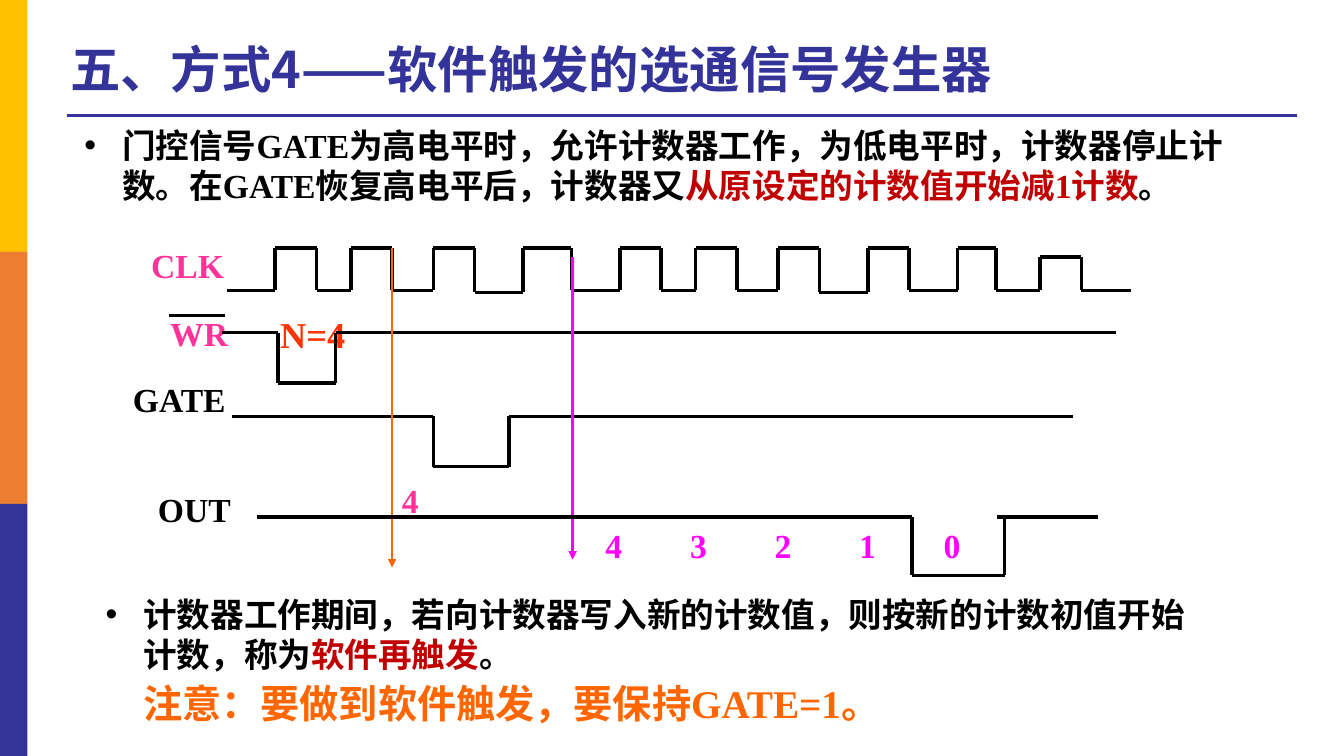
from lxml import etree
from pptx import Presentation
from pptx import util as u
from pptx.dml import color
from pptx.enum import shapes, text
from pptx.oxml import ns

SERIF, SANS = "Times New Roman", "Noto Sans CJK SC"
BLACK, RED, BLUE = "000000", "C00000", "333399"
PINK, MAGENTA, ORANGE = "FF3399", "FF00FF", "FF6600"

BANDS = ["FFC000", "ED7D31", BLUE]
BAND_WIDTH, BAND_HEIGHT = 0.69, 6.35

TITLE = [("五、方式4——软件触发的选通信号发生器", BLUE)]
GATE_RULE = [
    ("门控信号GATE为高电平时，允许计数器工作，为低电平时，计数器停止计数。在GATE恢复高电平后，计数器又", BLACK),
    ("从原设定的计数值开始减1计数", RED),
    ("。", BLACK),
]
RETRIGGER = [
    ("计数器工作期间，若向计数器写入新的计数值，则按新的计数初值开始计数，称为", BLACK),
    ("软件再触发", RED),
    ("。", BLACK),
]
CAUTION = [("注意：要做到软件触发，要保持GATE=1。", ORANGE)]

LABELS = [
    ("CLK", PINK, 24, (3.56, 6.05, 3.48, 1.3)),
    ("WR", PINK, 24, (4.04, 7.75, 2.29, 1.3)),
    ("N=4", "FF3300", 26, (6.81, 7.75, 2.79, 1.37)),
    ("GATE", BLACK, 24, (3.1, 9.42, 4.24, 1.3)),
    ("OUT", BLACK, 24, (3.73, 12.19, 4.45, 1.3)),
    ("4", PINK, 24, (9.88, 11.96, 5.51, 1.3)),
]
COUNTS = ["4", "3", "2", "1", "0"]
COUNT_STEP = 2.13

CLK_START, CLK_END, CLK_LOW, CLK_HIGH = 5.72, 28.5, 7.32, 6.25
CLK_PULSES = [
    (6.93, 7.98), (8.84, 9.88), (10.92, 11.96), (13.18, 14.4), (15.62, 16.66),
    (17.53, 18.57), (19.61, 20.65), (21.87, 22.91), (24.13, 25.1), (26.21, 27.25),
]
LAST_HIGH = 6.48
LOWERED_AFTER, LOWERED = (2, 6), 7.37

DIPS = [
    (5.59, 7.01, 8.46, 28.12, 8.38, 9.65),
    (5.84, 10.92, 12.83, 27.03, 10.49, 11.76),
]
OUT_WAVE = [(6.48, 13.03), (22.99, 13.03), (22.99, 14.5), (25.32, 14.5), (25.32, 13.03)]
OUT_TAIL = [(25.12, 13.03), (27.66, 13.03)]
WR_BAR = [(4.27, 7.95), (5.66, 7.95)]
MARKERS = [(9.88, 6.25, 14.3, ORANGE), (14.43, 6.48, 14.1, MAGENTA)]

presentation = Presentation()
presentation.slide_width, presentation.slide_height = u.Cm(33.87), u.Cm(19.05)
slide = presentation.slides.add_slide(presentation.slide_layouts[6])


def paint(target, value):
    target.rgb = color.RGBColor.from_string(value)


def add_line(start, end, value=BLACK, width=2.5, arrow=False):
    line = slide.shapes.add_connector(
        shapes.MSO_CONNECTOR.STRAIGHT, *[u.Cm(length) for length in (*start, *end)])
    paint(line.line.color, value)
    line.line.width = u.Pt(width)
    if arrow:
        etree.SubElement(line.line._get_or_add_ln(), ns.qn("a:tailEnd"), type="triangle")
    etree.SubElement(line._element.spPr, ns.qn("a:effectLst"))


def add_wave(points):
    for start, end in zip(points, points[1:]):
        add_line(start, end)


def add_box(place):
    frame = slide.shapes.add_textbox(*[u.Cm(length) for length in place]).text_frame
    frame.word_wrap = True
    return frame


def write(paragraph, pieces, size, font=SERIF):
    for words, value in pieces:
        run = paragraph.add_run()
        run.text = words
        run.font.size, run.font.bold, run.font.name = u.Pt(size), True, font
        paint(run.font.color, value)
        etree.SubElement(run._r.get_or_add_rPr(), ns.qn("a:ea"), typeface=SANS)


def indent(paragraph, bullet):
    properties = paragraph._p.get_or_add_pPr()
    properties.set("marL", str(u.Cm(0.95)))
    properties.set("indent", str(u.Cm(-0.95 if bullet else 0)))
    if bullet:
        etree.SubElement(properties, ns.qn("a:buFont"), typeface="Arial")
        etree.SubElement(properties, ns.qn("a:buChar"), char="•")


add_line((1.7, 2.92), (32.69, 2.92), BLUE, 2.25)
for index, value in enumerate(BANDS):
    band = slide.shapes.add_shape(
        shapes.MSO_SHAPE.RECTANGLE, 0, u.Cm(index * BAND_HEIGHT), u.Cm(BAND_WIDTH), u.Cm(BAND_HEIGHT))
    band.shadow.inherit = False
    band.fill.solid()
    paint(band.fill.fore_color, value)
    band.line.fill.background()

gate_paragraph = add_box((1.88, 3.02, 29.82, 10.57)).paragraphs[0]
indent(gate_paragraph, True)
write(gate_paragraph, GATE_RULE, 24)

clk_wave = [(CLK_START, CLK_LOW)]
low = CLK_LOW
for index, (rise, fall) in enumerate(CLK_PULSES):
    high = LAST_HIGH if index == len(CLK_PULSES) - 1 else CLK_HIGH
    clk_wave += [(rise, low), (rise, high), (fall, high)]
    low = LOWERED if index in LOWERED_AFTER else CLK_LOW
    clk_wave.append((fall, low))
add_wave(clk_wave + [(CLK_END, CLK_LOW)])

for words, value, size, place in LABELS:
    write(add_box(place).paragraphs[0], [(words, value)], size)
add_line(*WR_BAR, width=2.75)

for start, fall, rise, end, high, low in DIPS:
    add_wave([(start, high), (fall, high), (fall, low), (rise, low), (rise, high), (end, high)])
for x, top, bottom, value in MARKERS:
    add_line((x, top), (x, bottom), value, 1.75, arrow=True)
add_wave(OUT_WAVE)
add_wave(OUT_TAIL)

count_paragraph = add_box((15.01, 13.11, 10.8, 1.3)).paragraphs[0]
tabs = etree.SubElement(count_paragraph._p.get_or_add_pPr(), ns.qn("a:tabLst"))
for index in range(1, len(COUNTS)):
    etree.SubElement(tabs, ns.qn("a:tab"), pos=str(u.Cm(index * COUNT_STEP)), algn="l")
write(count_paragraph, [("\t".join(COUNTS), MAGENTA)], 24)

closing = add_box((2.41, 14.83, 28.52, 3.68))
retrigger_paragraph, caution_paragraph = closing.paragraphs[0], closing.add_paragraph()
indent(retrigger_paragraph, True)
write(retrigger_paragraph, RETRIGGER, 24)
caution_paragraph.space_before = u.Pt(4)
indent(caution_paragraph, False)
write(caution_paragraph, CAUTION, 28)

title_frame = add_box((1.52, 0.71, 25.17, 2.21))
title_frame.vertical_anchor = text.MSO_ANCHOR.MIDDLE
title_frame.paragraphs[0].line_spacing = 0.9
write(title_frame.paragraphs[0], TITLE, 36, SANS)

presentation.save("out.pptx")
